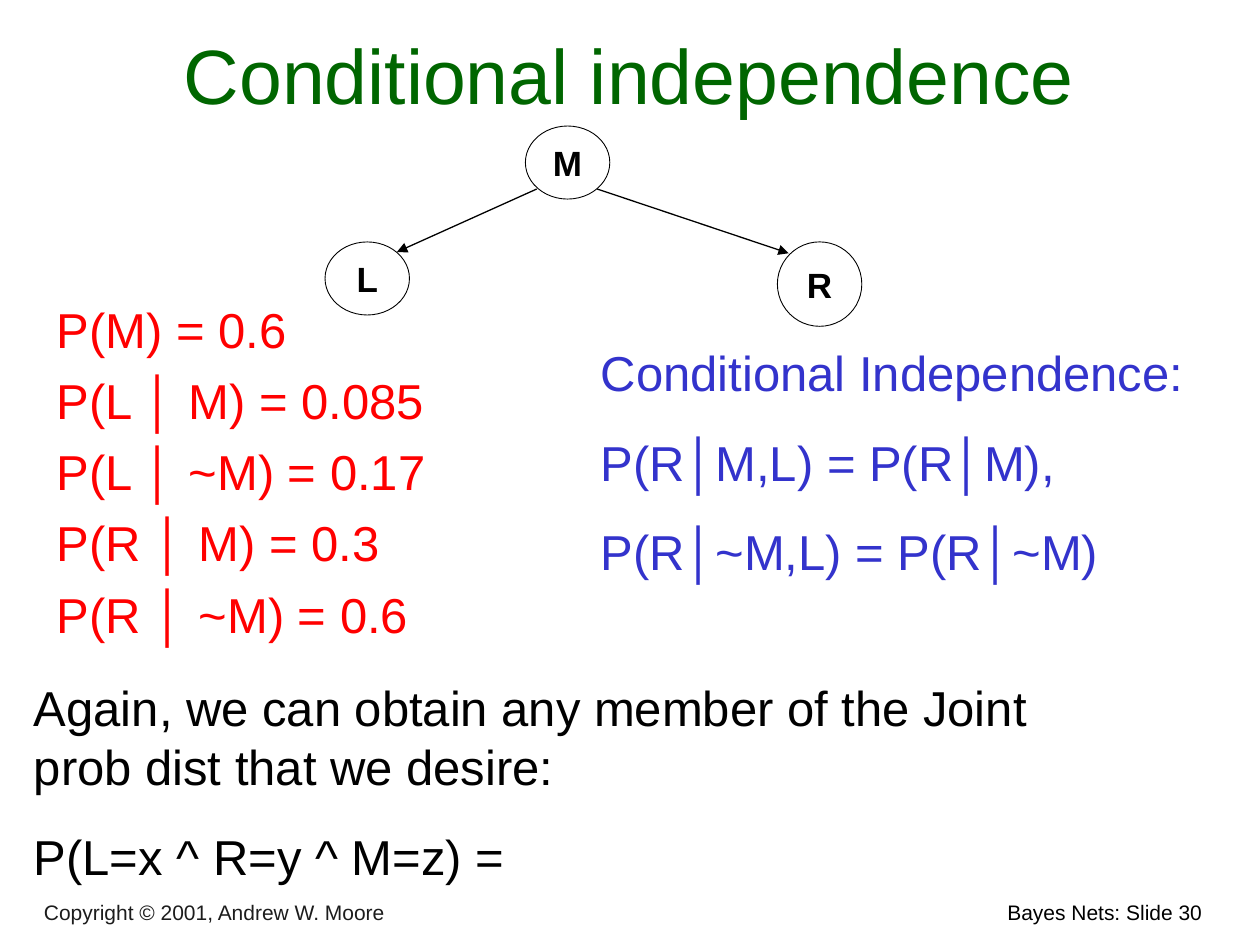
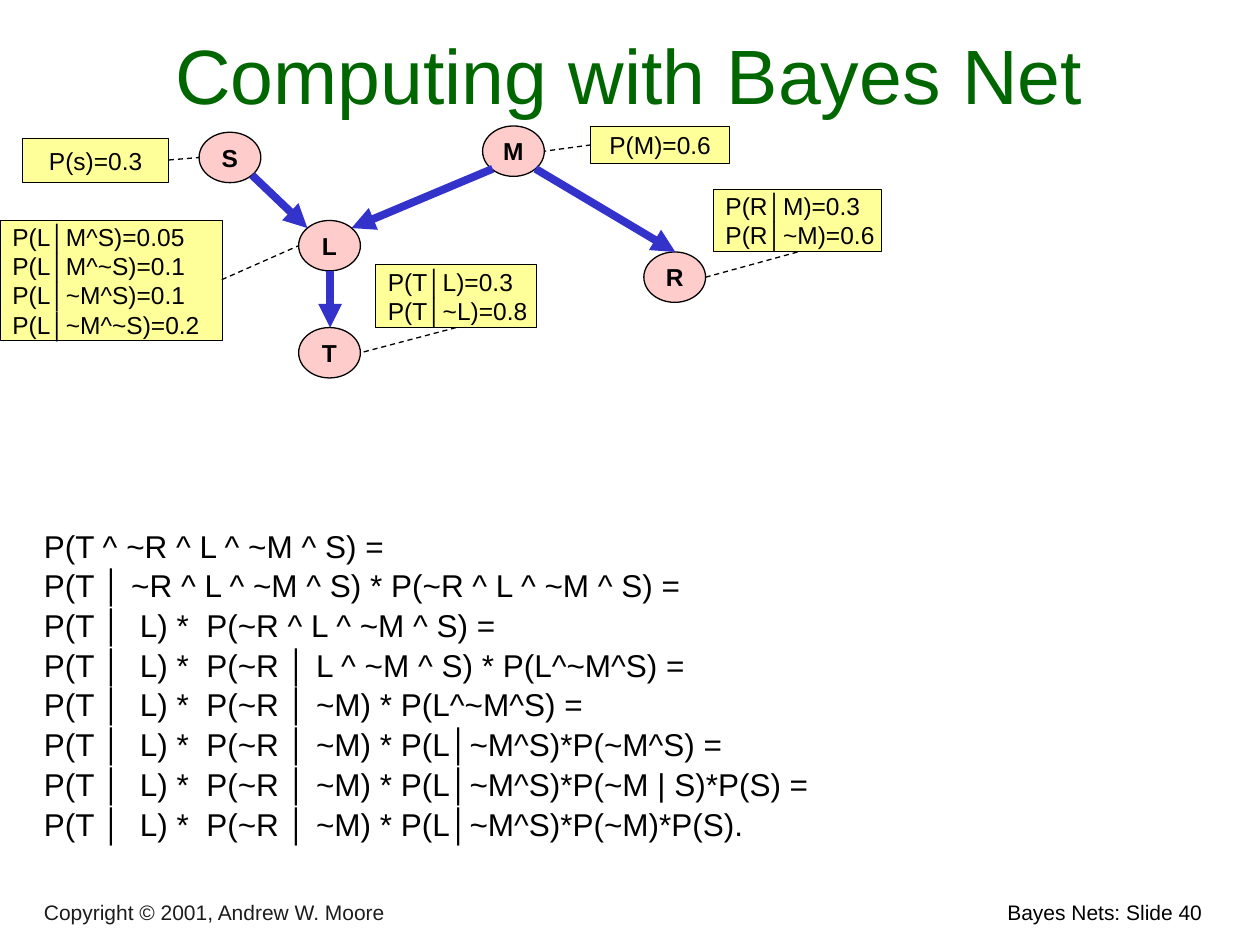
from pptx import Presentation
from pptx import util as u
from pptx.dml.color import RGBColor
from pptx.enum import dml, shapes, text
from pptx.oxml import ns, xmlchemy

SCALE = 9144  # EMU per px, 100 px to the inch
FONT = "Arial"
GREEN, RED, BLUE = "006600", "FF0000", "3333CC"
BLACK, GREY = "000000", "1C1C1C"
PINK, YELLOW = "FFCCCC", "FFFF99"
LEFT, CENTER, RIGHT = text.PP_ALIGN.LEFT, text.PP_ALIGN.CENTER, text.PP_ALIGN.RIGHT
TOP, MIDDLE, BOTTOM = text.MSO_ANCHOR.TOP, text.MSO_ANCHOR.MIDDLE, text.MSO_ANCHOR.BOTTOM
OVAL, BOX = shapes.MSO_SHAPE.OVAL, shapes.MSO_SHAPE.RECTANGLE


def color(hex_string):
    return RGBColor.from_string(hex_string)


def px(*lengths):
    return [u.Emu(length * SCALE) for length in lengths]


class Deck:
    """Holds the shared style and the slide being drawn."""

    def __init__(self):
        self.presentation = Presentation()
        width, height = px(1000, 750)
        self.presentation.slide_width = width
        self.presentation.slide_height = height
        self.slide = None

    def new_slide(self, title, number):
        layout = self.presentation.slide_layouts[6]
        self.slide = self.presentation.slides.add_slide(layout)
        self.text((572, 709, 392, 30), [f"Bayes Nets: Slide {number}"], 12, align=RIGHT)
        self.text((25, 711, 555, 28), ["Copyright © 2001, Andrew W. Moore"], 12, GREY,
                  anchor=BOTTOM)
        self.text((8, 17, 983, 83), [title], 44, GREEN, align=CENTER, anchor=BOTTOM)

    def fill_text(self, shape, lines, size, ink=BLACK, align=LEFT, anchor=TOP,
                  bold=False, gap=0, wrap=True, left=10, right=10):
        frame = shape.text_frame
        frame.word_wrap = wrap
        frame.vertical_anchor = anchor
        frame.margin_left, frame.margin_right = px(left, right)
        frame.margin_top, frame.margin_bottom = px(5, 5)
        frame.text = "\n".join(lines)
        for index, paragraph in enumerate(frame.paragraphs):
            paragraph.alignment = align
            paragraph.space_before = u.Pt(gap if index else 0)
            for run in paragraph.runs:
                run.font.name = FONT
                run.font.size = u.Pt(size)
                run.font.bold = bold
                run.font.color.rgb = color(ink)

    def text(self, place, lines, size, ink=BLACK, **style):
        box = self.slide.shapes.add_textbox(*px(*place))
        self.fill_text(box, lines, size, ink, **style)

    def shape(self, kind, place, fill, line_width):
        shape = self.slide.shapes.add_shape(kind, *px(*place))
        shape.shadow.inherit = False
        if fill:
            shape.fill.solid()
            shape.fill.fore_color.rgb = color(fill)
        else:
            shape.fill.background()
        shape.line.color.rgb = color(BLACK)
        shape.line.width = u.Pt(line_width)
        return shape

    def node(self, name, place, size, fill=None, line_width=0.5):
        oval = self.shape(OVAL, place, fill, line_width)
        self.fill_text(oval, [name], size, align=CENTER, anchor=MIDDLE, bold=True,
                       wrap=False)

    def table_box(self, place, lines):
        """Draw a probability table; a single entry is centred."""
        box = self.shape(BOX, place, YELLOW, 0.5)
        if len(lines) == 1:
            self.fill_text(box, lines, 14, align=CENTER, anchor=MIDDLE, wrap=False)
        else:
            self.fill_text(box, lines, 14, anchor=MIDDLE, right=0)

    def line(self, ends, ink=BLACK, width=0.75, arrow=False, dashed=False):
        connector = self.slide.shapes.add_connector(
            shapes.MSO_CONNECTOR.STRAIGHT, *px(*ends))
        connector.line.color.rgb = color(ink)
        connector.line.width = u.Pt(width)
        if dashed:
            connector.line.dash_style = dml.MSO_LINE.DASH
        properties = connector.element.find(ns.qn("p:spPr"))
        if arrow:
            head = xmlchemy.OxmlElement("a:tailEnd")
            head.set("type", "triangle")
            properties.find(ns.qn("a:ln")).append(head)
        properties.append(xmlchemy.OxmlElement("a:effectLst"))


def conditional_independence(deck):
    deck.new_slide("Conditional independence", 30)
    deck.node("M", (417, 100, 67, 58), 20)
    deck.node("L", (258, 192, 67, 58), 20)
    deck.node("R", (617, 192, 67, 67), 20)
    for ends in [(426, 150, 315, 200), (474, 150, 626, 201)]:
        deck.line(ends, arrow=True)

    deck.text((0, 233, 375, 283), [
        "P(M) = 0.6",
        "P(L │ M) = 0.085",
        "P(L │ ~M) = 0.17",
        "P(R │ M) = 0.3",
        "P(R │ ~M) = 0.6",
    ], 28, RED, gap=7, left=45)
    deck.text((467, 267, 517, 199), [
        "Conditional Independence:",
        "P(R│M,L) = P(R│M),",
        "P(R│~M,L) = P(R│~M)",
    ], 28, BLUE, gap=17.5)
    deck.text((17, 533, 875, 175), [
        "Again, we can obtain any member of the Joint prob dist that we desire:",
        "P(L=x ^ R=y ^ M=z) =",
    ], 28, gap=17.5)


def computing_with_bayes_net(deck):
    deck.new_slide("Computing with Bayes Net", 40)
    deck.text((25, 413, 938, 296), [
        "P(T ^ ~R ^ L ^ ~M ^ S) =",
        "P(T │ ~R ^ L ^ ~M ^ S) * P(~R ^ L ^ ~M ^ S) =",
        "P(T │  L) *  P(~R ^ L ^ ~M ^ S) =",
        "P(T │  L) *  P(~R │ L ^ ~M ^ S) * P(L^~M^S) =",
        "P(T │  L) *  P(~R │ ~M) * P(L^~M^S) =",
        "P(T │  L) *  P(~R │ ~M) * P(L│~M^S)*P(~M^S) =",
        "P(T │  L) *  P(~R │ ~M) * P(L│~M^S)*P(~M | S)*P(S) =",
        "P(T │  L) *  P(~R │ ~M) * P(L│~M^S)*P(~M)*P(S).",
    ], 18, gap=1.1)

    nodes = {"S": (158, 105), "M": (383, 100), "R": (511, 200),
             "L": (237, 175), "T": (237, 260)}
    for name, corner in nodes.items():
        deck.node(name, (*corner, 49, 40), 14, PINK, 0.75)

    deck.table_box((18, 110, 116, 35), ["P(s)=0.3"])
    deck.table_box((469, 100, 110, 30), ["P(M)=0.6"])
    deck.table_box((566, 150, 134, 50), ["P(R│M)=0.3", "P(R│~M)=0.6"])
    deck.table_box((298, 210, 128, 50), ["P(T│L)=0.3", "P(T│~L)=0.8"])
    deck.table_box((0, 175, 177, 95), [
        "P(L│M^S)=0.05", "P(L│M^~S)=0.1", "P(L│~M^S)=0.1", "P(L│~M^~S)=0.2"])

    influences = [(200, 139, 244, 181), (391, 134, 279, 181),
                  (425, 134, 536, 200), (262, 215, 262, 260)]
    for ends in influences:
        deck.line(ends, BLUE, 4.5, arrow=True)
    table_links = [(362, 260, 286, 280), (633, 200, 560, 220), (469, 115, 432, 120),
                   (134, 127, 158, 125), (176, 222, 237, 195)]
    for ends in table_links:
        deck.line(ends, dashed=True)


def main():
    deck = Deck()
    conditional_independence(deck)
    computing_with_bayes_net(deck)
    deck.presentation.save("out.pptx")


if __name__ == "__main__":
    main()
